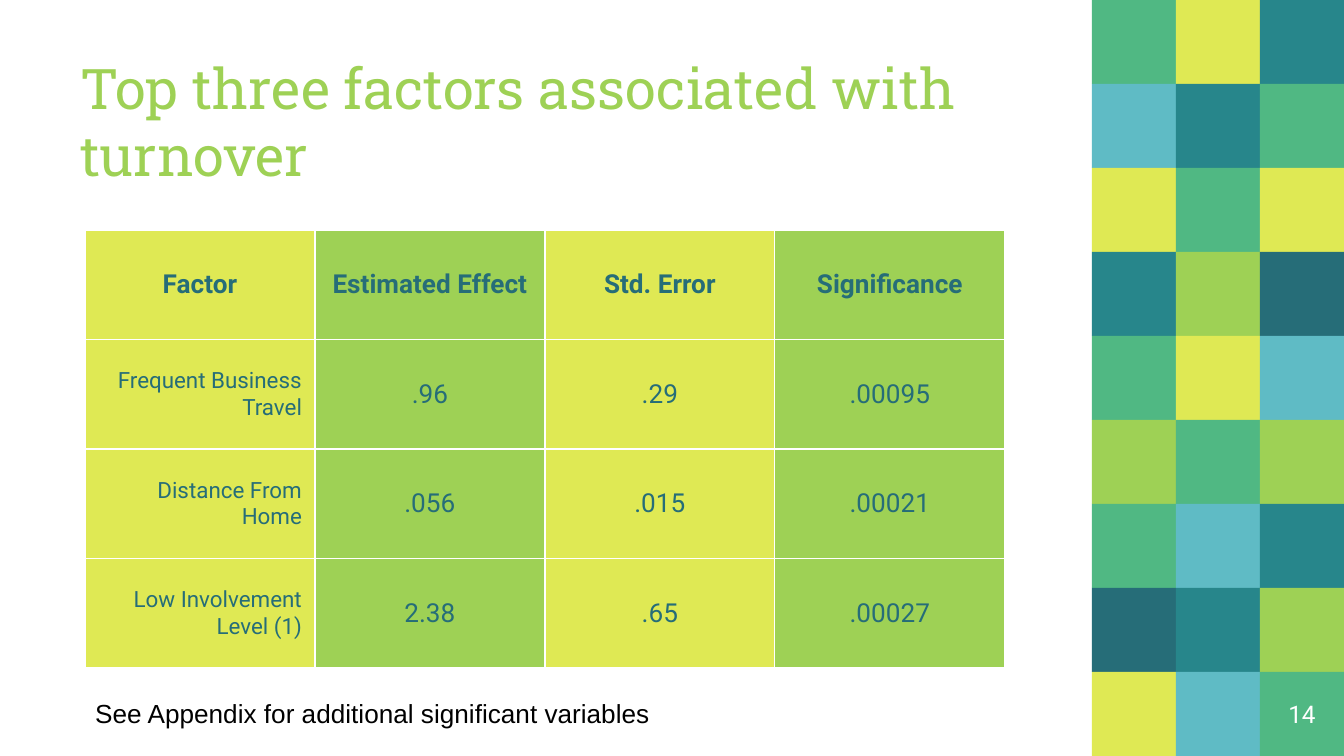
from lxml.etree import SubElement
from pptx import Presentation
from pptx.dml.color import RGBColor
from pptx.enum.shapes import MSO_SHAPE
from pptx.enum.text import MSO_ANCHOR, MSO_AUTO_SIZE, PP_ALIGN
from pptx.oxml.ns import qn
from pptx.util import Pt

SLIDE_WIDTH, SLIDE_HEIGHT = 1344, 756
EMU_PER_PX = 9144000 / SLIDE_WIDTH
TILE = 84
INSET = 13

WHITE = RGBColor(0xFF, 0xFF, 0xFF)
BLACK = RGBColor(0x00, 0x00, 0x00)
LIME = RGBColor(0x9E, 0xD1, 0x55)
YELLOW = RGBColor(0xDF, 0xE9, 0x54)
GREEN = RGBColor(0x50, 0xB8, 0x83)
TEAL = RGBColor(0x27, 0x86, 0x8B)
DEEP_TEAL = RGBColor(0x26, 0x6D, 0x78)
SKY = RGBColor(0x5F, 0xBB, 0xC5)

MOSAIC = [
    (GREEN, YELLOW, TEAL),
    (SKY, TEAL, GREEN),
    (YELLOW, GREEN, YELLOW),
    (TEAL, LIME, DEEP_TEAL),
    (GREEN, YELLOW, SKY),
    (LIME, GREEN, LIME),
    (GREEN, SKY, TEAL),
    (DEEP_TEAL, TEAL, LIME),
    (YELLOW, SKY, GREEN),
]

FACTORS = [
    ("Factor", "Estimated Effect", "Std. Error", "Significance"),
    ("Frequent Business Travel", ".96", ".29", ".00095"),
    ("Distance From Home", ".056", ".015", ".00021"),
    ("Low Involvement Level (1)", "2.38", ".65", ".00027"),
]


def px(length):
    return round(length * EMU_PER_PX)


def set_attributes(target, values):
    for name, value in values.items():
        setattr(target, name, value)


def write_text(text_frame, text, font, size, color, bold=False, align=PP_ALIGN.LEFT):
    text_frame.text = text
    paragraph = text_frame.paragraphs[0]
    paragraph.alignment = align
    run_font = paragraph.runs[0].font
    set_attributes(run_font, {"name": font, "size": Pt(size), "bold": bold})
    run_font.color.rgb = color


def set_frame(text_frame, anchor, inset):
    margins = {f"margin_{side}": px(inset) for side in ("left", "top", "right", "bottom")}
    set_attributes(text_frame, {
        "word_wrap": True,
        "auto_size": MSO_AUTO_SIZE.NONE,
        "vertical_anchor": anchor,
        **margins,
    })


def add_mosaic(slide, left, top):
    for row, colors in enumerate(MOSAIC):
        for column, color in enumerate(colors):
            tile = slide.shapes.add_shape(
                MSO_SHAPE.RECTANGLE, px(left + column * TILE), px(top + row * TILE),
                px(TILE), px(TILE))
            tile.shadow.inherit = False
            tile.fill.solid()
            tile.fill.fore_color.rgb = color
            tile.line.fill.background()


def place_title(slide, left, top, width, height):
    title = slide.shapes.title
    set_attributes(title, {
        "left": px(left), "top": px(top), "width": px(width), "height": px(height)})
    set_frame(title.text_frame, MSO_ANCHOR.BOTTOM, INSET)
    write_text(title.text_frame, "Top three factors associated with turnover",
               "Roboto Slab", 30, LIME)


def add_borders(cell):
    """Draw thin white lines on all four sides, ahead of the fill in the XML."""
    properties = cell._tc.get_or_add_tcPr()
    for index, side in enumerate(("lnL", "lnR", "lnT", "lnB")):
        line = SubElement(properties, qn(f"a:{side}"), w=str(Pt(0.75)))
        fill = SubElement(line, qn("a:solidFill"))
        SubElement(fill, qn("a:srgbClr"), val=str(WHITE))
        properties.insert(index, line)


def add_factor_table(slide, left, top, width, height):
    row_count, column_count = len(FACTORS), len(FACTORS[0])
    table = slide.shapes.add_table(
        row_count, column_count, px(left), px(top), px(width), px(height)).table
    set_attributes(table, {"first_row": False, "horz_banding": False})
    for row, values in enumerate(FACTORS):
        for column, value in enumerate(values):
            cell = table.cell(row, column)
            is_header = row == 0
            is_label = column == 0 and not is_header
            set_attributes(cell, {
                "vertical_anchor": MSO_ANCHOR.MIDDLE,
                "margin_left": px(INSET), "margin_right": px(INSET),
                "margin_top": px(9), "margin_bottom": px(9),
            })
            cell.fill.solid()
            cell.fill.fore_color.rgb = LIME if column % 2 else YELLOW
            add_borders(cell)
            write_text(cell.text_frame, value, "Roboto", 12 if is_label else 14,
                       DEEP_TEAL, is_header,
                       PP_ALIGN.RIGHT if is_label else PP_ALIGN.CENTER)


def add_slide_number(slide, left, top):
    box = slide.shapes.add_textbox(px(left), px(top), px(TILE), px(TILE))
    set_frame(box.text_frame, MSO_ANCHOR.MIDDLE, INSET)
    write_text(box.text_frame, "14", "Roboto", 13, WHITE, align=PP_ALIGN.CENTER)


def add_note(slide, left, top, width, height):
    box = slide.shapes.add_textbox(px(left), px(top), px(width), px(height))
    set_attributes(box.text_frame, {
        "word_wrap": True, "auto_size": MSO_AUTO_SIZE.SHAPE_TO_FIT_TEXT})
    write_text(box.text_frame, "See Appendix for additional significant variables",
               "Arial", 14, BLACK)


def main():
    presentation = Presentation()
    set_attributes(presentation, {
        "slide_width": px(SLIDE_WIDTH), "slide_height": px(SLIDE_HEIGHT)})
    slide = presentation.slides.add_slide(presentation.slide_layouts[5])
    add_mosaic(slide, SLIDE_WIDTH - 3 * TILE, 0)
    place_title(slide, 67, 75, 942, 126)
    add_factor_table(slide, 85, 230, 920, 438)
    add_slide_number(slide, SLIDE_WIDTH - TILE, SLIDE_HEIGHT - TILE)
    add_note(slide, 82, 691, 672, 45)
    presentation.save("out.pptx")


if __name__ == "__main__":
    main()
